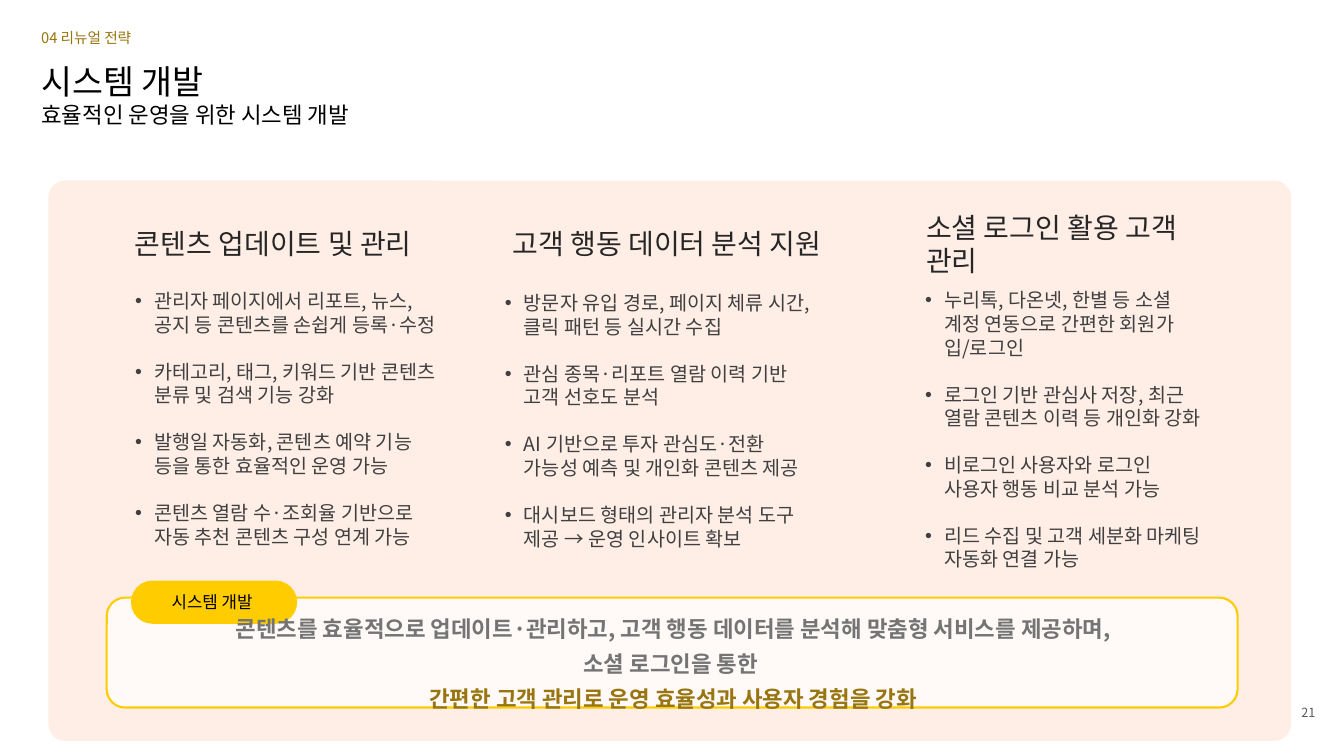
import pptx
import pptx.util
import pptx.dml.color
import pptx.enum.shapes
import pptx.enum.text
import pptx.oxml
import pptx.oxml.ns
from lxml import etree

Cm, Pt = pptx.util.Cm, pptx.util.Pt
Align = pptx.enum.text.PP_ALIGN
Anchor = pptx.enum.text.MSO_ANCHOR
qn = pptx.oxml.ns.qn

# Content
FACE = "Noto Sans CJK KR"
GOLD, BROWN, BLACK = "FFCC00", "98750F", "000000"
TITLE = [("시스템 개발", 24), ("효율적인 운영을 위한 시스템 개발", 16)]
LEAD = "04 리뉴얼 전략"
PAGE = "21"
TAG = "시스템 개발 "
CLOSE = [
    ("콘텐츠를 효율적으로 업데이트·관리하고, 고객 행동 데이터를 분석해 "
     "맞춤형 서비스를 제공하며, 소셜 로그인을 통한 ", "747474"),
    ("간편한 고객 관리로 운영 효율성과 사용자 경험을 강화", BROWN),
]
# Heading, heading box (left, width), list box (left, top, width), items
COLS = [
    ("콘텐츠 업데이트 및 관리", (3.15, 8.26), (3.15, 7.16, 8.26), [
        "관리자 페이지에서 리포트, 뉴스, 공지 등 콘텐츠를 손쉽게 등록·수정",
        "카테고리, 태그, 키워드 기반 콘텐츠 분류 및 검색 기능 강화",
        "발행일 자동화, 콘텐츠 예약 기능 등을 통한 효율적인 운영 가능",
        "콘텐츠 열람 수·조회율 기반으로 자동 추천 콘텐츠 구성 연계 가능",
    ]),
    ("고객 행동 데이터 분석 지원", (12.67, 8.99), (12.47, 7.21, 8.26), [
        "방문자 유입 경로, 페이지 체류 시간, 클릭 패턴 등 실시간 수집",
        "관심 종목·리포트 열람 이력 기반 고객 선호도 분석",
        "AI 기반으로 투자 관심도·전환 가능성 예측 및 개인화 콘텐츠 제공",
        "대시보드 형태의 관리자 분석 도구 제공 → 운영 인사이트 확보",
    ]),
    ("소셜 로그인 활용 고객 관리", (23.09, 7.42), (23.06, 7.14, 7.67), [
        "누리톡, 다온넷, 한별 등 소셜 계정 연동으로 간편한 회원가입/로그인",
        "로그인 기반 관심사 저장, 최근 열람 콘텐츠 이력 등 개인화 강화",
        "비로그인 사용자와 로그인 사용자 행동 비교 분석 가능",
        "리드 수집 및 고객 세분화 마케팅 자동화 연결 가능",
    ]),
]

deck = pptx.Presentation()
deck.slide_width, deck.slide_height = Cm(33.87), Cm(19.05)
slide = deck.slides.add_slide(deck.slide_layouts[4])
shapes = slide.shapes
slots = {hold.placeholder_format.idx: hold for hold in slide.placeholders}


def tint(code):
    return pptx.dml.color.RGBColor.from_string(code)


def place(box, left, top, wide, high):
    """Move a box and bring it to the front."""
    box.left, box.top, box.width, box.height = map(Cm, (left, top, wide, high))
    box._element.getparent().append(box._element)
    return box


def label(left, top, wide, high):
    return shapes.add_textbox(*map(Cm, (left, top, wide, high)))


def write(box, lines, anchor=Anchor.MIDDLE, align=Align.LEFT, bold=False,
          lead=1.2, gap=0, dot=False):
    """Fill a box with (text, size, colour) lines."""
    frame = box.text_frame
    frame.word_wrap = True
    frame.auto_size = pptx.enum.text.MSO_AUTO_SIZE.NONE
    frame.vertical_anchor = anchor
    for num, (text, size, code) in enumerate(lines):
        para = frame.add_paragraph() if num else frame.paragraphs[0]
        para.add_run().text = text
        para.alignment = align
        para.line_spacing = Pt(round(size * lead, 1))
        para.space_before = Pt(gap if num else 0)
        para.space_after = Pt(0)
        props = para._p.get_or_add_pPr()
        props.set("marL", str(Cm(0.48) if dot else 0))
        props.set("indent", str(-Cm(0.48) if dot else 0))
        if dot:
            etree.SubElement(props, qn("a:buFont")).set("typeface", "Arial")
            etree.SubElement(props, qn("a:buChar")).set("char", "•")
        else:
            etree.SubElement(props, qn("a:buNone"))
        font = para.font
        font.name, font.size, font.bold = FACE, Pt(size), bold
        font.color.rgb = tint(code)
        base = props.find(qn("a:defRPr"))
        etree.SubElement(base, qn("a:ea")).set("typeface", FACE)


def plate(left, top, wide, high, code, bend=None, alpha=None, edge=None):
    """Draw a rounded rectangle."""
    kind = pptx.enum.shapes.MSO_SHAPE.ROUNDED_RECTANGLE
    box = shapes.add_shape(kind, *map(Cm, (left, top, wide, high)))
    box.shadow.inherit = False
    if bend is not None:
        box.adjustments[0] = bend
    box.fill.solid()
    box.fill.fore_color.rgb = tint(code)
    if alpha:
        paint = box._element.spPr.find(".//" + qn("a:srgbClr"))
        etree.SubElement(paint, qn("a:alpha")).set("val", str(alpha * 1000))
    if edge:
        box.line.color.rgb = tint(edge)
        box.line.width = Pt(1.5)
    else:
        box.line.fill.background()
    return box


# Header and page number
write(place(shapes.title, 0.79, 1.68, 8.76, 1.4),
      [(text, size, BLACK) for text, size in TITLE])
write(label(0.79, 0.25, 5.49, 1.4), [(LEAD, 10.5, BROWN)])
write(label(25.78, 17.65, 7.62, 1.02), [(PAGE, 9, "595959")],
      anchor=Anchor.TOP, align=Align.RIGHT)

# Panel, closing frame and tag
plate(1.22, 4.55, 31.32, 14.12, "FFDDCC", bend=0.03, alpha=49)
plate(2.69, 15.06, 28.5, 2.77, "FFFFFF", alpha=73, edge=GOLD)
write(plate(3.3, 14.63, 4.19, 1.09, GOLD, bend=0.5), [(TAG, 12, BLACK)],
      align=Align.CENTER)

# Columns
for slot, (head, (left, wide), (x, y, w), items) in enumerate(COLS, 1):
    write(label(left, 5.44, wide, 1.4), [(head, 20, "262626")])
    write(place(slots[slot], x, y, w, 4.11),
          [(item, 14, "404040") for item in items],
          anchor=Anchor.TOP, gap=16.8, dot=True)

# Closing message
write(place(slots[4], 5.23, 15.93, 23.47, 1.4),
      [(text, 16, code) for text, code in CLOSE],
      align=Align.CENTER, bold=True, lead=1.56)

deck.save("out.pptx")
